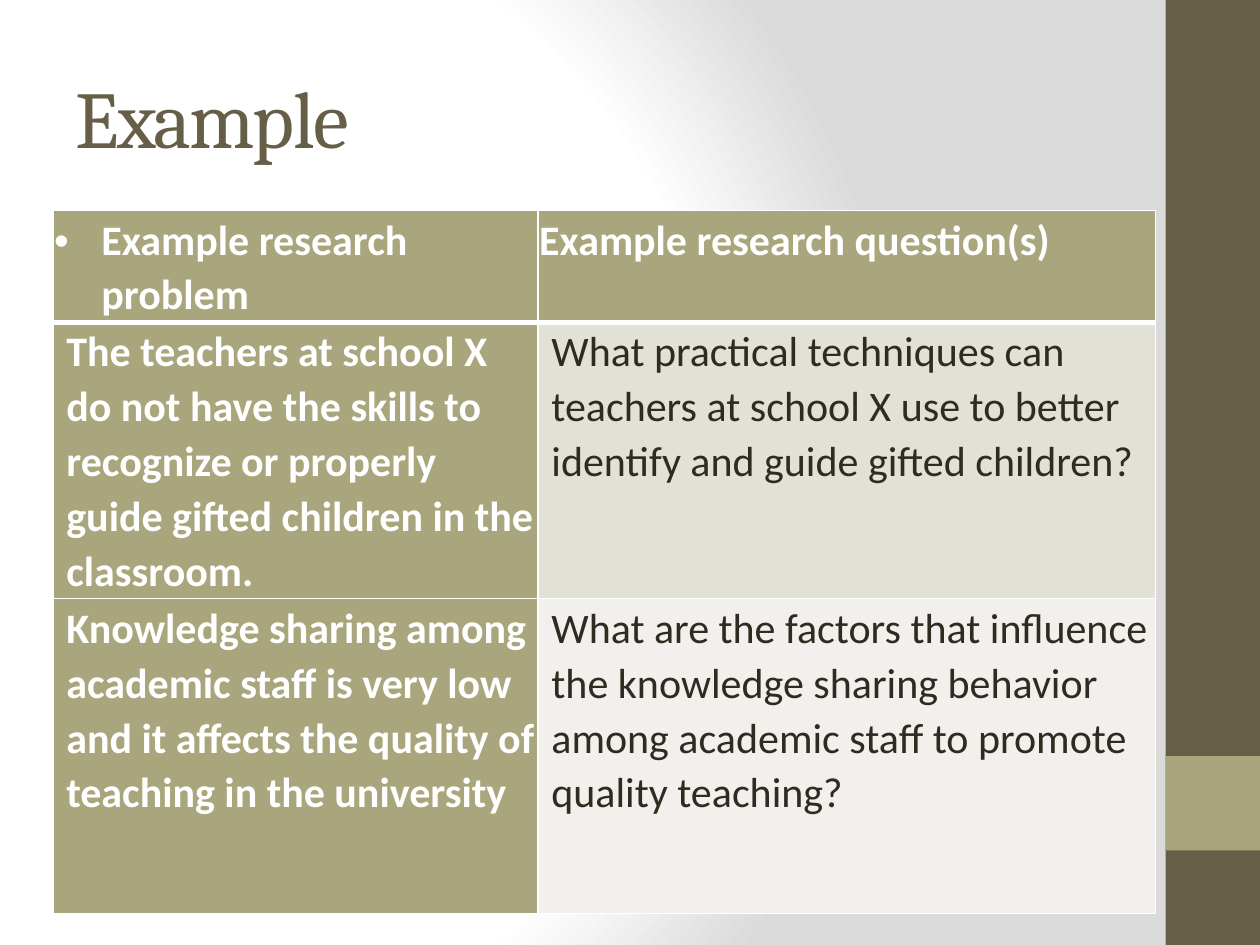
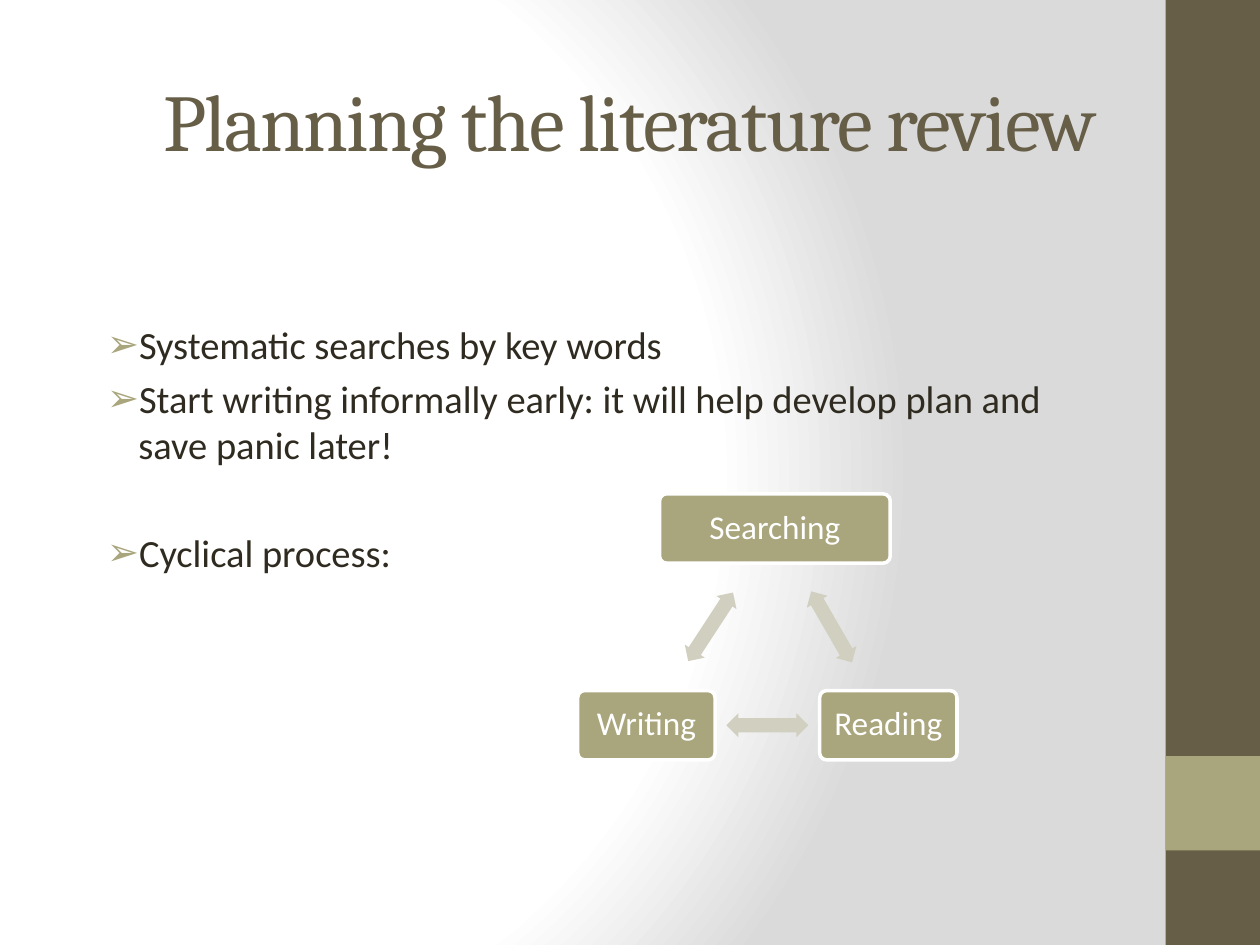
from itertools import product
from math import atan2, degrees

from pptx import Presentation
from pptx.dml.color import RGBColor
from pptx.enum.shapes import MSO_SHAPE
from pptx.enum.text import MSO_ANCHOR, PP_ALIGN
from pptx.oxml import parse_xml
from pptx.oxml.ns import nsdecls, qn
from pptx.util import Pt

WIDE, HIGH = 720, 540
BROWN, OLIVE, PALE = "675E47", "A9A57C", "D1CFBF"
INK, WHITE = "2F2B20", "FFFFFF"
HEAD, BODY = "Cambria", "Calibri"


def color(code):
    return RGBColor.from_string(code)


def node(xml):
    return parse_xml(xml.replace(">", f" {nsdecls('a')}>", 1))


def write(frame, text, size=22, font=BODY, ink=INK, bold=False,
          align=PP_ALIGN.LEFT, indent=0, hang=0, line=None, before=0,
          after=0, bullet=None, dot=None, track=0):
    para = frame.paragraphs[0]
    if para.runs:
        para = frame.add_paragraph()
    props = para._p.get_or_add_pPr()
    props.set("marL", str(Pt(indent)))
    props.set("indent", str(Pt(-hang)))
    if bullet:
        if dot:
            props.append(node(f'<a:buClr><a:srgbClr val="{dot}"/></a:buClr>'))
        props.append(node('<a:buFont typeface="Arial"></a:buFont>'))
        props.append(node(f'<a:buChar char="{bullet}"></a:buChar>'))
    para.alignment = align
    para.space_before, para.space_after = Pt(before), Pt(after)
    if line:
        para.line_spacing = line
    run = para.add_run()
    run.text = text
    run.font.size, run.font.name, run.font.bold = Pt(size), font, bold
    run.font.color.rgb = color(ink)
    if track:
        run._r.get_or_add_rPr().set("spc", str(track * 100))


def inset(item, size):
    item.margin_left = item.margin_right = Pt(size)
    item.margin_top = item.margin_bottom = Pt(size)


def draw(slide, kind, box, fill, edge=None):
    shape = slide.shapes.add_shape(kind, *map(Pt, box))
    shape.shadow.inherit = False
    shape.fill.solid()
    shape.fill.fore_color.rgb = color(fill)
    if edge:
        shape.line.color.rgb = color(edge)
        shape.line.width = Pt(2)
    else:
        shape.line.fill.background()
    return shape


def frame(slide, box, anchor=MSO_ANCHOR.TOP):
    area = slide.shapes.add_textbox(*map(Pt, box)).text_frame
    area.word_wrap = True
    area.vertical_anchor = anchor
    return area


def backdrop(deck):
    master = deck.slide_master
    master.background.fill.gradient()
    stops = "".join(
        f'<a:gs pos="{spot * 1000}"><a:srgbClr val="{code}"/></a:gs>'
        for spot, code in ((0, WHITE), (75, WHITE), (100, "DADADA")))
    grad = node(
        f'<a:gradFill rotWithShape="1"><a:gsLst>{stops}</a:gsLst>'
        '<a:path path="circle"><a:fillToRect l="20000" t="50000" '
        'r="100000" b="50000"/></a:path></a:gradFill>')
    old = master.element.find(f".//{qn('p:bgPr')}/{qn('a:gradFill')}")
    old.getparent().replace(old, grad)


def start(deck, title, box, align=PP_ALIGN.LEFT):
    slide = deck.slides.add_slide(deck.slide_layouts[6])
    side = 54
    left = WIDE - side
    draw(slide, MSO_SHAPE.RECTANGLE, (left, 0, side, HIGH), BROWN)
    draw(slide, MSO_SHAPE.RECTANGLE, (left, HIGH - 2 * side, side, side), OLIVE)
    write(frame(slide, box, MSO_ANCHOR.MIDDLE), title, size=46, font=HEAD,
          ink=BROWN, align=align, track=-1)
    return slide


def border(cell, row):
    props = cell._tc.get_or_add_tcPr()
    sizes = {"L": 1, "R": 1, "T": 3 if row == 1 else 1,
             "B": 3 if row == 0 else 1}
    for spot, (side, size) in enumerate(sizes.items()):
        props.insert(spot, node(
            f'<a:ln{side} w="{Pt(size)}"><a:solidFill>'
            f'<a:srgbClr val="{WHITE}"/></a:solidFill></a:ln{side}>'))


def grid(slide, box, rows, shares, heights):
    table = slide.shapes.add_table(len(rows), len(shares), *map(Pt, box)).table
    table.horz_banding = False
    for col, share in zip(table.columns, shares):
        col.width = Pt(box[2] * share)
    for row, height in zip(table.rows, heights):
        row.height = Pt(height)
    fills = (OLIVE, "E2E1D7", "F1F0EC")
    for row, col in product(range(len(rows)), range(len(shares))):
        cell = table.cell(row, col)
        inset(cell, 0.72)
        strong = row == 0 or col == 0
        cell.fill.solid()
        cell.fill.fore_color.rgb = color(OLIVE if strong else fills[row])
        border(cell, row)
        look = {"indent": 7 if row else 0}
        if row == col == 0:
            look = {"indent": 27, "hang": 27, "bullet": "•"}
        write(cell.text_frame, rows[row][col], size=24, bold=strong,
              ink=WHITE if strong else INK, line=1.07, after=22.5, **look)


def points(slide, box, items):
    area = frame(slide, box)
    for text, gap in items:
        write(area, text, indent=27, hang=18, before=gap, bullet="➢", dot=OLIVE)


def cycle(slide, box, steps):
    left, top, width, height = box
    tall, long, thick = 39.6, 46.8, 13.7
    spots = []
    for text, across, down, wide in steps:
        x, y = left + across * width, top + tall / 2 + down * (height - tall)
        spots.append((x, y))
        card = draw(slide, MSO_SHAPE.ROUNDED_RECTANGLE,
                    (x - wide / 2, y - tall / 2, wide, tall), OLIVE, WHITE)
        card.adjustments[0] = 0.1
        area = card.text_frame
        area.word_wrap = True
        area.vertical_anchor = MSO_ANCHOR.MIDDLE
        inset(area, 5.76)
        write(area, text, size=19, ink=WHITE, align=PP_ALIGN.CENTER, line=0.9)
    for (x, y), (u, v) in zip(spots, spots[1:] + spots[:1]):
        arrow = draw(slide, MSO_SHAPE.LEFT_RIGHT_ARROW,
                     ((x + u - long) / 2, (y + v - thick) / 2, long, thick), PALE)
        arrow.adjustments[0], arrow.adjustments[1] = 0.6, 0.5
        arrow.rotation = degrees(atan2(v - y, u - x))


def sample(deck):
    slide = start(deck, "Example", (36, 21.6, 600, 90))
    rows = (
        ("Example research problem", "Example research question(s)"),
        ("The teachers at school X do not have the skills to recognize or "
         "properly guide gifted children in the classroom.",
         "What practical techniques can teachers at school X use to better "
         "identify and guide gifted children?"),
        ("Knowledge sharing among academic staff is very low and it affects "
         "the quality of teaching in the university",
         "What are the factors that influence the knowledge sharing behavior "
         "among academic staff to promote quality teaching?"),
    )
    grid(slide, (30.2, 120.2, 630, 402), rows, (0.44, 0.56), (64, 158, 180))


def review(deck):
    slide = start(deck, "Planning the literature review",
                  (60, 31.5, 600, 73.5), PP_ALIGN.CENTER)
    points(slide, (45, 180, 600, 330), (
        ("Systematic searches by key words", 0),
        ("Start writing informally early: it will help develop plan and "
         "save panic later!", 4.4),
        ("Cyclical process:", 35.4),
    ))
    cycle(slide, (330.5, 282.2, 216, 152), (
        ("Searching", 0.52, 0, 131.8),
        ("Reading", 0.82, 1, 78.5),
        ("Writing", 0.18, 1, 78.5),
    ))


def main():
    deck = Presentation()
    deck.slide_width, deck.slide_height = Pt(WIDE), Pt(HIGH)
    backdrop(deck)
    sample(deck)
    review(deck)
    deck.save("out.pptx")


if __name__ == "__main__":
    main()
